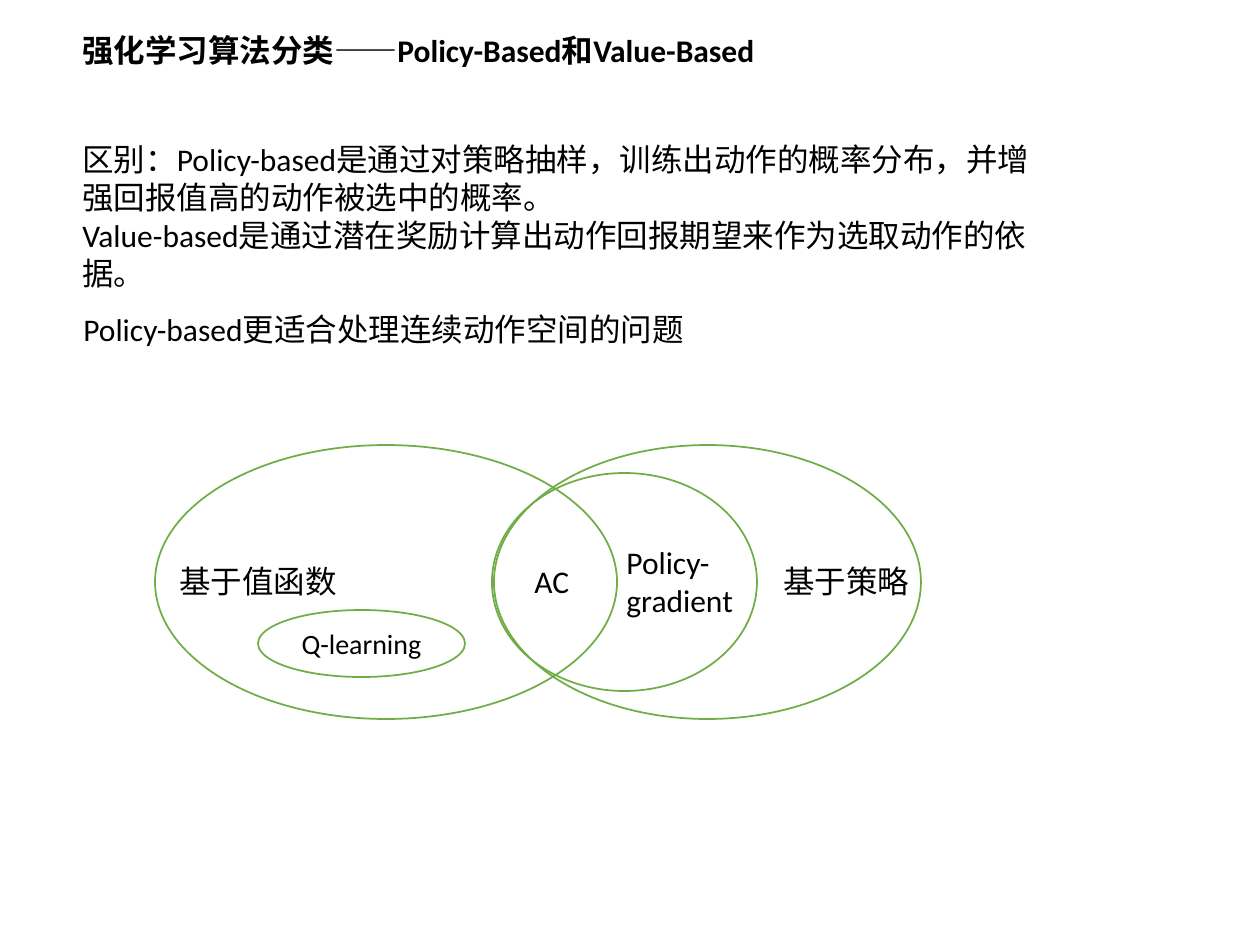
import pptx
import pptx.util
import pptx.dml.color
import pptx.enum.shapes
import pptx.enum.text

PAGE_SIZE = (1260, 945)
FONT = "Calibri"
BLACK, WHITE, GREEN = "000000", "FFFFFF", "70AD47"

SETS = [
    ("", None, (155, 445, 462, 274)),
    ("", None, (494, 445, 427, 274)),
    ("", None, (492, 473, 265, 218)),
    ("Q-learning", WHITE, (258, 610, 207, 67)),
]

PASSAGES = [
    (["强化学习算法分类——Policy-Based和Value-Based"], (70, 25, 697, 50), True),
    (["区别：Policy-based是通过对策略抽样，训练出动作的概率分布，并增强回报值高的动作被选中的概率。",
      "Value-based是通过潜在奖励计算出动作回报期望来作为选取动作的依据。"],
     (70, 134, 984, 165), False),
    (["Policy-based更适合处理连续动作空间的问题"], (71, 304, 632, 50), False),
]

LABELS = [
    (["基于值函数"], (167, 556, 184, 50)),
    (["基于策略"], (771, 556, 165, 50)),
    (["Policy-", "gradient"], (614, 537, 134, 89)),
    (["AC"], (522, 556, 60, 50)),
]


def emu(px):
    return round(px * pptx.util.Inches(1) / 126)


def colour(value):
    return pptx.dml.color.RGBColor.from_string(value)


def style_text(frame, size, bold=False):
    for para in frame.paragraphs:
        for span in para.runs:
            span.font.name = FONT
            span.font.size = pptx.util.Pt(size)
            span.font.bold = bold
            span.font.color.rgb = colour(BLACK)


def add_set(page, text, fill, place):
    oval = page.shapes.add_shape(
        pptx.enum.shapes.MSO_SHAPE.OVAL, *map(emu, place))
    oval.shadow.inherit = False
    if fill:
        oval.fill.solid()
        oval.fill.fore_color.rgb = colour(fill)
    else:
        oval.fill.background()
    oval.line.color.rgb = colour(GREEN)
    oval.line.width = pptx.util.Pt(1)
    if text:
        frame = oval.text_frame
        frame.text = text
        frame.vertical_anchor = pptx.enum.text.MSO_ANCHOR.MIDDLE
        frame.paragraphs[0].alignment = pptx.enum.text.PP_ALIGN.CENTER
        style_text(frame, 16)


def add_text(page, lines, place, bold=False, wrap=False):
    box = page.shapes.add_textbox(*map(emu, place))
    frame = box.text_frame
    frame.text = "\n".join(lines)
    frame.word_wrap = wrap
    frame.auto_size = pptx.enum.text.MSO_AUTO_SIZE.SHAPE_TO_FIT_TEXT
    style_text(frame, 18, bold)


def main():
    deck = pptx.Presentation()
    deck.slide_width, deck.slide_height = map(emu, PAGE_SIZE)
    page = deck.slides.add_slide(deck.slide_layouts[6])
    for text, fill, place in SETS:
        add_set(page, text, fill, place)
    for lines, place, bold in PASSAGES:
        add_text(page, lines, place, bold, wrap=True)
    for lines, place in LABELS:
        add_text(page, lines, place)
    deck.save("out.pptx")


if __name__ == "__main__":
    main()
